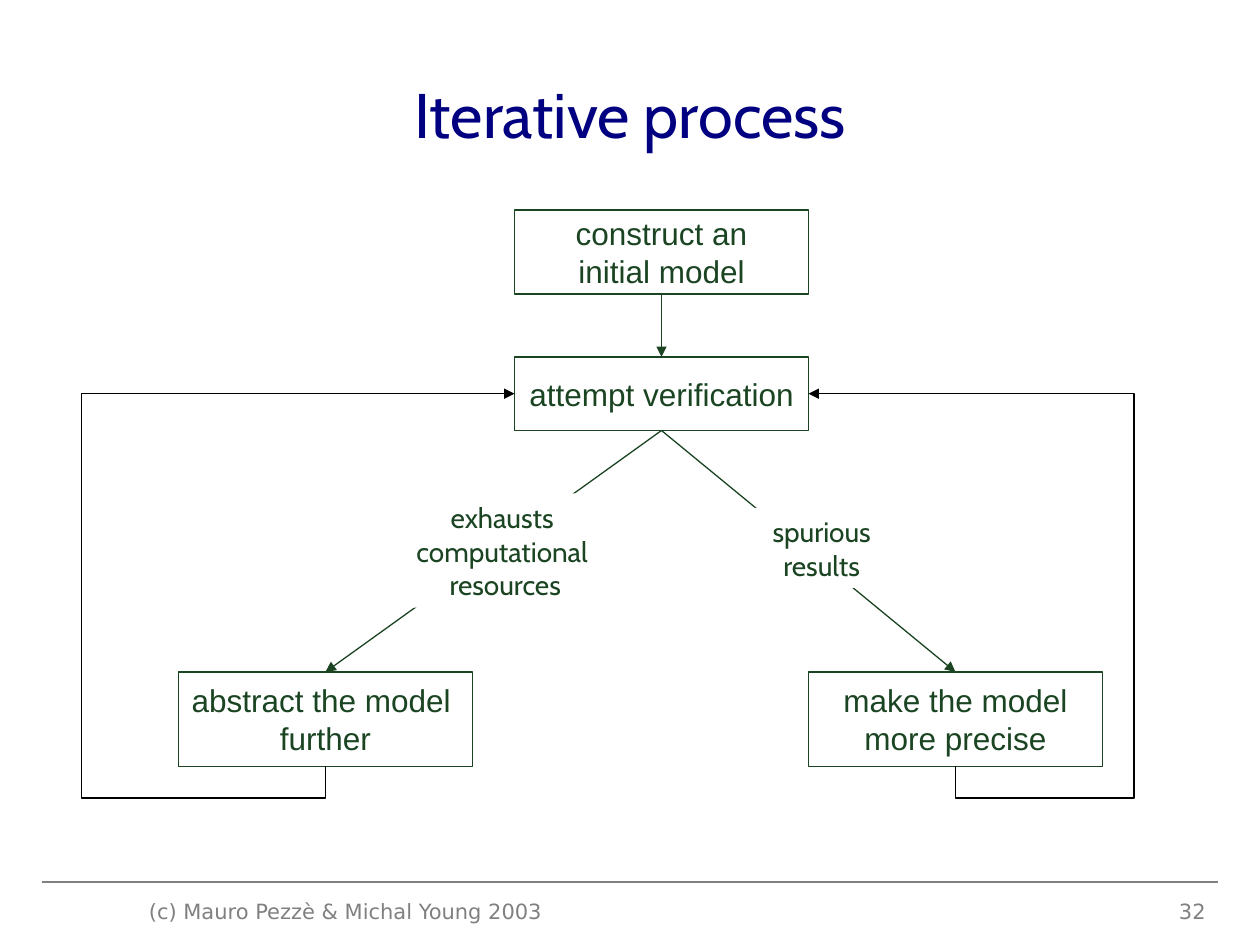
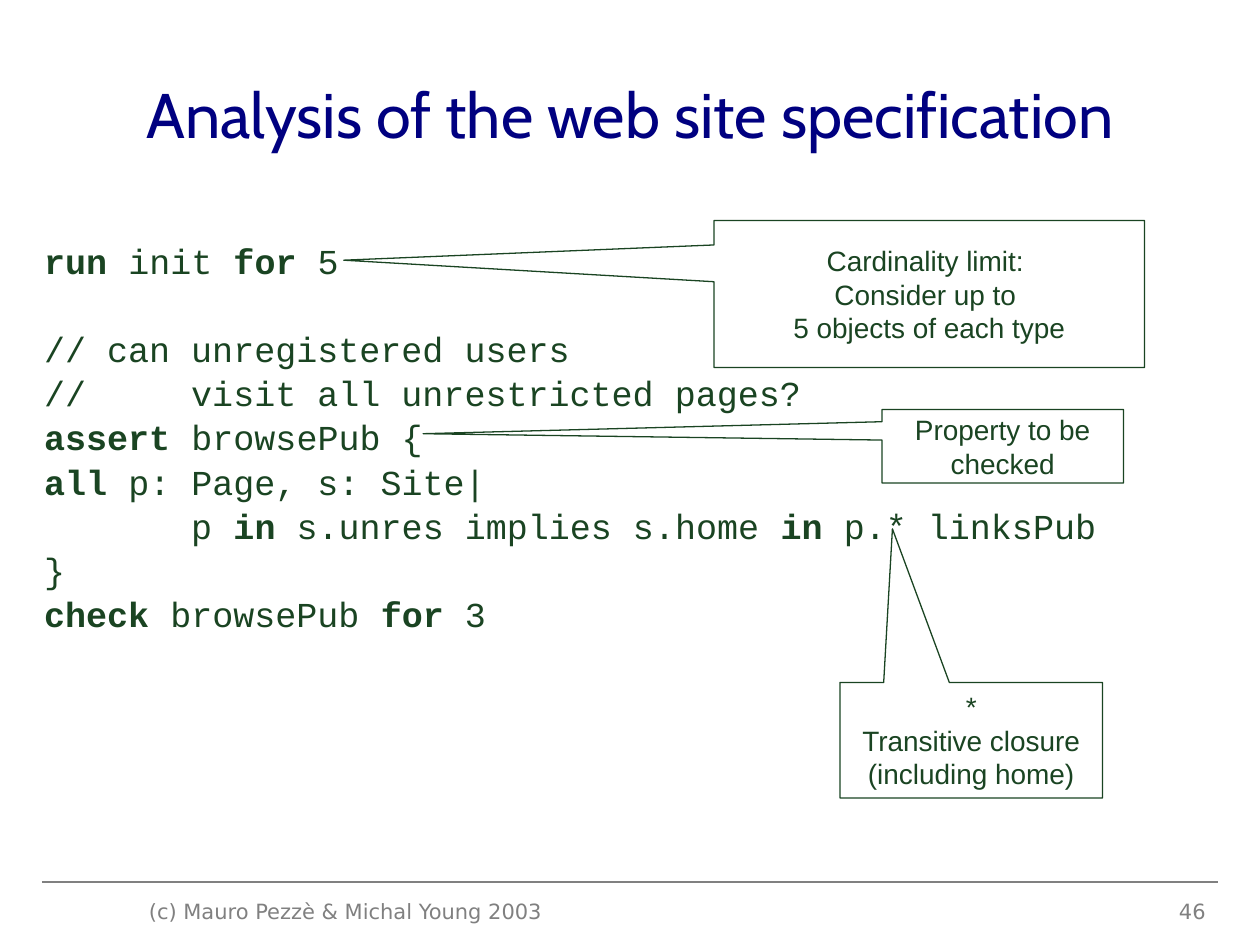
import lxml.etree
import pptx
import pptx.dml.color
import pptx.enum.shapes
import pptx.enum.text
import pptx.oxml.ns
import pptx.util

PX = 9525  # 96 px to the inch
GREEN = pptx.dml.color.RGBColor(0x1A, 0x44, 0x22)
NAVY = pptx.dml.color.RGBColor(0x00, 0x00, 0x80)
GREY = pptx.dml.color.RGBColor(0x80, 0x80, 0x80)
BLACK = pptx.dml.color.RGBColor(0x00, 0x00, 0x00)
WHITE = pptx.dml.color.RGBColor(0xFF, 0xFF, 0xFF)
SHAPE = pptx.enum.shapes.MSO_SHAPE
CONNECTOR = pptx.enum.shapes.MSO_CONNECTOR
ALIGN = pptx.enum.text.PP_ALIGN
ANCHOR = pptx.enum.text.MSO_ANCHOR
TOP, LEFT, BOTTOM, RIGHT = range(4)  # connection sites of a box
qn = pptx.oxml.ns.qn


def write(frame, lines, font, size, color, align=ALIGN.CENTER):
    """Write one paragraph per line; text between ** marks is bold."""
    for number, line in enumerate(lines):
        paragraph = frame.paragraphs[0] if number == 0 else frame.add_paragraph()
        paragraph.alignment = align
        for part, text in enumerate(line.split("**")):
            if text:
                run = paragraph.add_run()
                run.text = text
                run.font.name = font
                run.font.size = pptx.util.Pt(size)
                run.font.color.rgb = color
                run.font.bold = part % 2 == 1


def style_connector(connector, color, arrow=True):
    connector.line.color.rgb = color
    connector.line.width = pptx.util.Pt(0.75)
    if arrow:
        lxml.etree.SubElement(connector.line._get_or_add_ln(), qn("a:tailEnd"), type="triangle")
    lxml.etree.SubElement(connector._element.spPr, qn("a:effectLst"))


deck = pptx.Presentation()
deck.slide_width = 960 * PX
deck.slide_height = 720 * PX

# Title, rule and footer of every slide
slides = []
for layout, title, page in (
    (5, "Iterative process", "32"),
    (1, "Analysis of the web site specification", "46"),
):
    slide = deck.slides.add_slide(deck.slide_layouts[layout])
    slides.append(slide)
    rule = slide.shapes.add_connector(CONNECTOR.STRAIGHT, 32 * PX, 672 * PX, 928 * PX, 672 * PX)
    style_connector(rule, GREY, arrow=False)
    heading = slide.shapes.title
    heading.left, heading.top, heading.width, heading.height = 48 * PX, 29 * PX, 864 * PX, 115 * PX
    heading.text_frame.vertical_anchor = ANCHOR.MIDDLE
    write(heading.text_frame, [title], "Cabin", 36, NAVY)
    for left, width, text, align in (
        (104, 336, "(c) Mauro Pezzè & Michal Young 2003", ALIGN.LEFT),
        (704, 224, page, ALIGN.RIGHT),
    ):
        footer = slide.shapes.add_textbox(left * PX, 680 * PX, width * PX, 26 * PX)
        footer.text_frame.word_wrap = True
        write(footer.text_frame, [text], "DejaVu Sans", 12, GREY, align)
process, analysis = slides

# Steps of the process
steps = []
for left, top, height, lines in (
    (392, 160, 64, ["construct an", "initial model"]),
    (392, 272, 56, ["attempt verification"]),
    (136, 512, 72, ["abstract the model ", "further"]),
    (616, 512, 72, ["make the model", "more precise"]),
):
    step = process.shapes.add_shape(
        SHAPE.FLOWCHART_PROCESS, left * PX, top * PX, 224 * PX, height * PX)
    step.shadow.inherit = False
    step.fill.background()
    step.line.color.rgb = GREEN
    step.line.width = pptx.util.Pt(0.75)
    step.text_frame.word_wrap = False
    step.text_frame.vertical_anchor = ANCHOR.MIDDLE
    write(step.text_frame, lines, "Arial", 18, GREEN)
    steps.append(step)
construct, attempt, abstract, refine = steps

for source, target in ((construct, attempt), (attempt, abstract), (attempt, refine)):
    arrow = process.shapes.add_connector(CONNECTOR.STRAIGHT, 0, 0, 0, 0)
    arrow.begin_connect(source, BOTTOM)
    arrow.end_connect(target, TOP)
    style_connector(arrow, GREEN)

# Outcomes interrupt the two slanted arrows
for left, top, width, height, lines in (
    (300, 376, 170, 87, ["exhausts ", "computational ", "resources"]),
    (573, 387, 106, 61, ["spurious", "results"]),
):
    outcome = process.shapes.add_shape(
        SHAPE.RECTANGLE, left * PX, top * PX, width * PX, height * PX)
    outcome.shadow.inherit = False
    outcome.fill.solid()
    outcome.fill.fore_color.rgb = WHITE
    outcome.line.fill.background()
    outcome.text_frame.word_wrap = False
    outcome.text_frame.vertical_anchor = ANCHOR.BOTTOM
    write(outcome.text_frame, lines, "Cabin", 16, GREEN)

# Loops back: 24 px below the step, out to the lane, up and into the side of attempt
for source, site, lane, rotation, flip_h in (
    (abstract, LEFT, 62, 90, "1"),
    (refine, RIGHT, 864, 270, "0"),
):
    start_x = source.left + source.width // 2
    start_y = source.top + source.height
    end_x = attempt.left if site == LEFT else attempt.left + attempt.width
    end_y = attempt.top + attempt.height // 2
    rise, run_length = start_y - end_y, abs(end_x - start_x)
    loop = process.shapes.add_connector(CONNECTOR.ELBOW, start_x, start_y, end_x, end_y)
    loop.begin_connect(source, BOTTOM)
    loop.end_connect(attempt, site)
    # The frame is given before its quarter turn, so rise is its width
    loop.left = (start_x + end_x - rise) // 2
    loop.top = (start_y + end_y - run_length) // 2
    loop.width, loop.height = rise, run_length
    xfrm = loop._element.spPr.find(qn("a:xfrm"))
    xfrm.set("rot", str(rotation * 60000))
    xfrm.set("flipH", flip_h)
    xfrm.set("flipV", "1")
    geometry = loop._element.spPr.find(qn("a:prstGeom"))
    geometry.set("prst", "bentConnector4")
    guides = geometry.find(qn("a:avLst"))
    for name, ratio in (
        ("adj1", -24 * PX / rise),
        ("adj2", -abs(lane * PX - start_x) / run_length),
    ):
        lxml.etree.SubElement(
            guides, qn("a:gd"), name=name, fmla=f"val {round(ratio * 100000)}")
    style_connector(loop, BLACK)

# Specification code
code = analysis.placeholders[1]
code.left, code.top, code.width, code.height = 24 * PX, 184 * PX, 912 * PX, 475 * PX
code.text_frame.auto_size = pptx.enum.text.MSO_AUTO_SIZE.NONE
write(code.text_frame, [
    "**run** init **for **5",
    "// can unregistered users",
    "//     visit all unrestricted pages?",
    "**assert **browsePub {",
    "**all **p: Page, s: Site|",
    "       p **in **s.unres implies s.home **in **p.* linksPub",
    "}",
    "**check **browsePub **for **3",
], "Courier New", 20, GREEN, ALIGN.LEFT)
for number, paragraph in enumerate(code.text_frame.paragraphs):
    properties = paragraph._p.get_or_add_pPr()
    properties.set("marL", "0")
    properties.set("indent", "0")
    lxml.etree.SubElement(properties, qn("a:buNone"))
    paragraph.line_spacing = 0.8
    paragraph.space_before = pptx.util.Pt({0: 0, 1: 31}.get(number, 6))

# Callouts: box, pointer tip relative to its centre, text
for left, top, width, height, tip, lines in (
    (544, 168, 328, 112, (-1.36, -0.23),
     ["Cardinality limit: ", "Consider up to ", "5 objects of each type"]),
    (672, 312, 184, 56, (-2.4, -0.17), ["Property to be", "checked"]),
    (640, 520, 200, 88, (-0.3, -1.83), ["*", "Transitive closure", "(including home)"]),
):
    callout = analysis.shapes.add_shape(
        SHAPE.RECTANGULAR_CALLOUT, left * PX, top * PX, width * PX, height * PX)
    callout.adjustments[0], callout.adjustments[1] = tip
    callout.shadow.inherit = False
    callout.fill.background()
    callout.line.color.rgb = GREEN
    callout.line.width = pptx.util.Pt(0.75)
    callout.text_frame.word_wrap = False
    callout.text_frame.vertical_anchor = ANCHOR.MIDDLE
    write(callout.text_frame, lines, "Arial", 16, GREEN)

deck.save("out.pptx")
